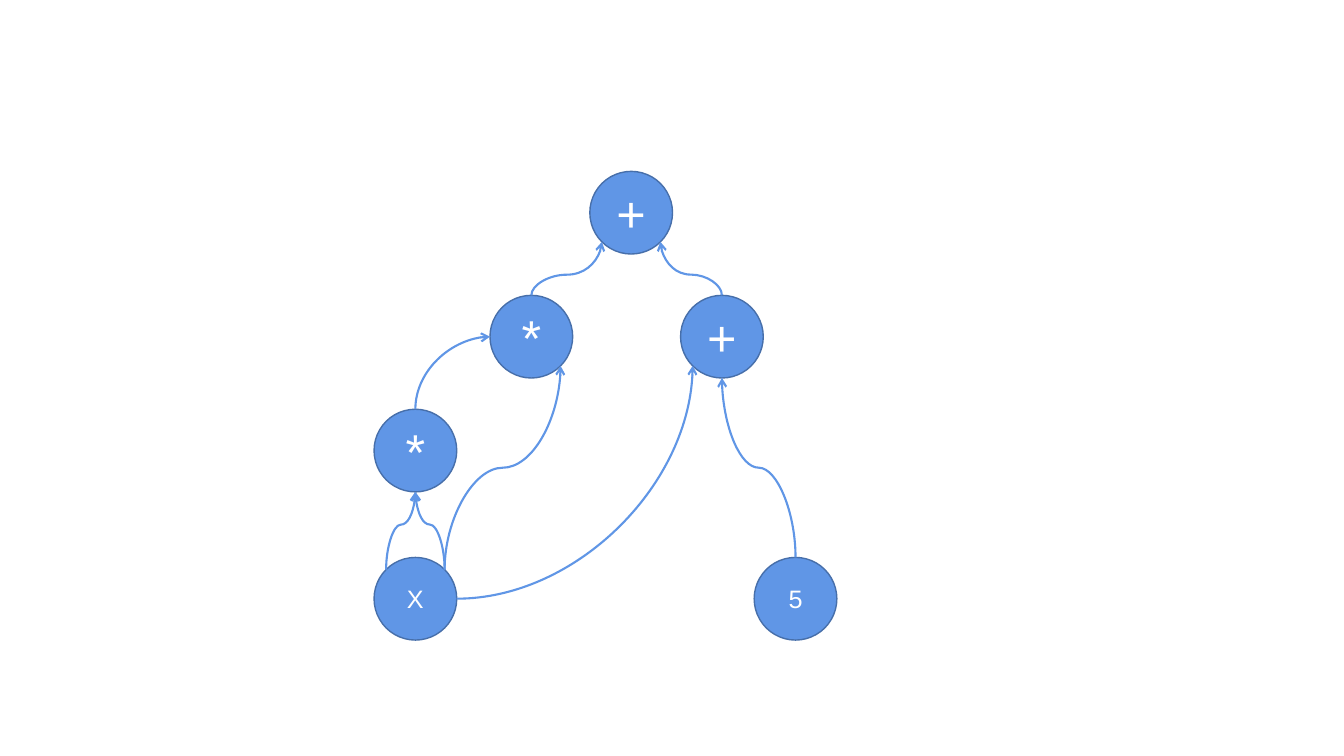
from math import cos, pi, sin

from lxml.etree import SubElement
from pptx import Presentation
from pptx.dml.color import RGBColor
from pptx.enum.shapes import MSO_CONNECTOR, MSO_SHAPE
from pptx.enum.text import MSO_ANCHOR, PP_ALIGN
from pptx.oxml.ns import qn
from pptx.util import Inches, Pt

COLORS = {"node": "6096E6", "outline": "476FAA", "label": "FFFFFF"}
DIAMETER = 0.82
COLUMNS = {"left": 4.12, "inner": 5.27, "middle": 6.26, "right": 7.16, "outer": 7.89}
ROWS = {"root": 2.11, "terms": 3.34, "square": 4.47, "inputs": 5.94}

# key: (label, column, row, text size)
NODES = {
    "x": ("X", "left", "inputs", 18),
    "five": ("5", "outer", "inputs", 18),
    "square": ("*", "left", "square", 36),
    "cube": ("*", "inner", "terms", 36),
    "sum": ("+", "right", "terms", 36),
    "total": ("+", "middle", "root", 36),
}

# Connection sites of an ellipse, counted counterclockwise from the top
TOP, TOP_LEFT, LEFT, BOTTOM_LEFT, BOTTOM, BOTTOM_RIGHT, RIGHT, TOP_RIGHT = range(8)

# (from node, site, to node, site)
EDGES = [
    ("x", TOP_LEFT, "square", BOTTOM),
    ("x", TOP_RIGHT, "square", BOTTOM),
    ("x", RIGHT, "sum", BOTTOM_LEFT),
    ("five", TOP, "sum", BOTTOM),
    ("sum", TOP, "total", BOTTOM_RIGHT),
    ("square", TOP, "cube", LEFT),
    ("x", TOP_RIGHT, "cube", BOTTOM_RIGHT),
    ("cube", TOP, "total", BOTTOM_LEFT),
]


def apply_format(target, values):
    """Set each attribute named in values on target."""
    for attribute, value in values.items():
        setattr(target, attribute, value)


def color(key):
    """Return the palette colour for key."""
    return RGBColor.from_string(COLORS[key])


def center(key):
    """Return the centre of a node on the grid, in inches."""
    _, column, row, _ = NODES[key]
    return COLUMNS[column], ROWS[row]


def site_point(key, site):
    """Return the position of a connection site on a node's rim."""
    x, y = center(key)
    angle = site * pi / 4
    return x - DIAMETER / 2 * sin(angle), y - DIAMETER / 2 * cos(angle)


def add_node(slide, key):
    """Draw one labelled circle and return it."""
    label, _, _, size = NODES[key]
    left, top = (Inches(c - DIAMETER / 2) for c in center(key))
    node = slide.shapes.add_shape(MSO_SHAPE.OVAL, left, top,
                                  Inches(DIAMETER), Inches(DIAMETER))
    node.shadow.inherit = False
    node.fill.solid()
    node.fill.fore_color.rgb = color("node")
    node.line.color.rgb = color("outline")
    node.line.width = Pt(1)
    node.text_frame.vertical_anchor = MSO_ANCHOR.MIDDLE
    paragraph = node.text_frame.paragraphs[0]
    paragraph.alignment = PP_ALIGN.CENTER
    run = paragraph.add_run()
    run.text = label
    apply_format(run.font, {"name": "Arial", "size": Pt(size)})
    run.font.color.rgb = color("label")
    return node


def glue(edge, tag, node, site):
    """Attach one end of an edge to a node's connection site."""
    properties = edge._element.find(".//" + qn("p:cNvCxnSpPr"))
    SubElement(properties, qn(tag), id=str(node.shape_id), idx=str(site))


def place_edge(edge, start, end, upward):
    """Set the frame of an edge, turned a quarter when it leaves upward."""
    (x1, y1), (x2, y2) = start, end
    width, height = abs(x2 - x1), abs(y2 - y1)
    flipped = not upward or x2 < x1
    frame = edge._element.spPr.find(qn("a:xfrm"))
    for flip in ("flipH", "flipV"):
        frame.attrib.pop(flip, None)
    if upward:
        width, height = height, width
        frame.set("rot", str(270 * 60000))
    if flipped:
        frame.set("flipV", "1")
    apply_format(edge, {
        "left": Inches((x1 + x2 - width) / 2),
        "top": Inches((y1 + y2 - height) / 2),
        "width": Inches(width),
        "height": Inches(height),
    })


def bend_edge(edge, source, target, start, end, single):
    """Use one quarter bend, or an S that turns midway between the circles."""
    geometry = edge._element.spPr.find(qn("a:prstGeom"))
    if single:
        geometry.set("prst", "curvedConnector2")
        return
    turn = (center(source)[1] + center(target)[1]) / 2
    share = (start[1] - turn) / (start[1] - end[1])
    guides = geometry.find(qn("a:avLst"))
    SubElement(guides, qn("a:gd"), name="adj1", fmla=f"val {round(share * 100000)}")


def add_edge(slide, nodes, source, source_site, target, target_site):
    """Draw a curved arrow between two nodes."""
    start = site_point(source, source_site)
    end = site_point(target, target_site)
    edge = slide.shapes.add_connector(MSO_CONNECTOR.CURVE, 0, 0, 0, 0)
    single = source_site == RIGHT or target_site == LEFT
    place_edge(edge, start, end, upward=source_site != RIGHT)
    bend_edge(edge, source, target, start, end, single)
    glue(edge, "a:stCxn", nodes[source], source_site)
    glue(edge, "a:endCxn", nodes[target], target_site)
    edge.line.color.rgb = color("node")
    edge.line.width = Pt(1.5)
    SubElement(edge.line._get_or_add_ln(), qn("a:tailEnd"), type="arrow")
    SubElement(edge._element.spPr, qn("a:effectLst"))


def main():
    """Build the expression graph slide."""
    deck = Presentation()
    apply_format(deck, {"slide_width": Inches(13.33), "slide_height": Inches(7.5)})
    slide = deck.slides.add_slide(deck.slide_layouts[6])
    nodes = {key: add_node(slide, key) for key in NODES}
    for edge in EDGES:
        add_edge(slide, nodes, *edge)
    deck.save("out.pptx")


main()
